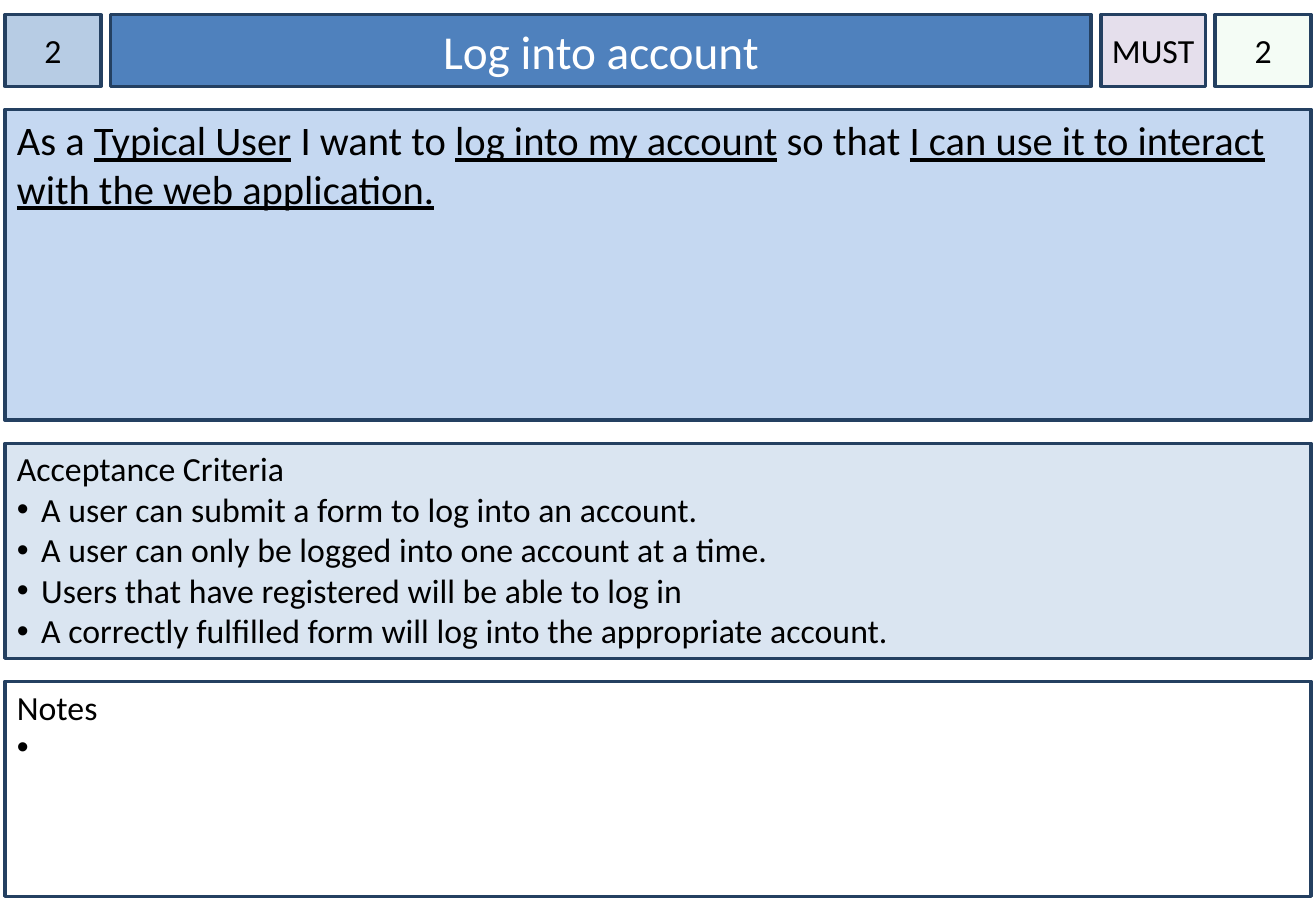
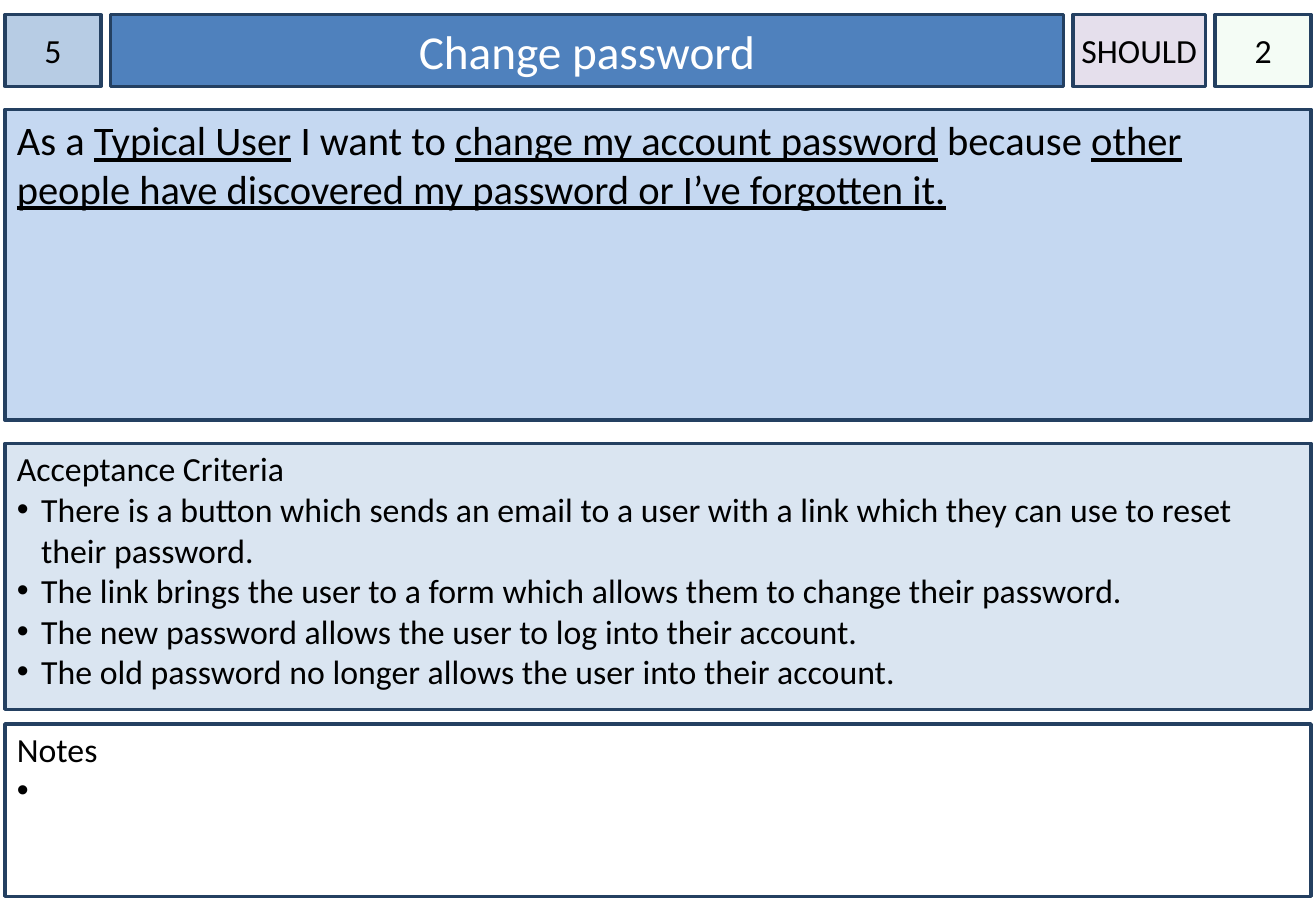
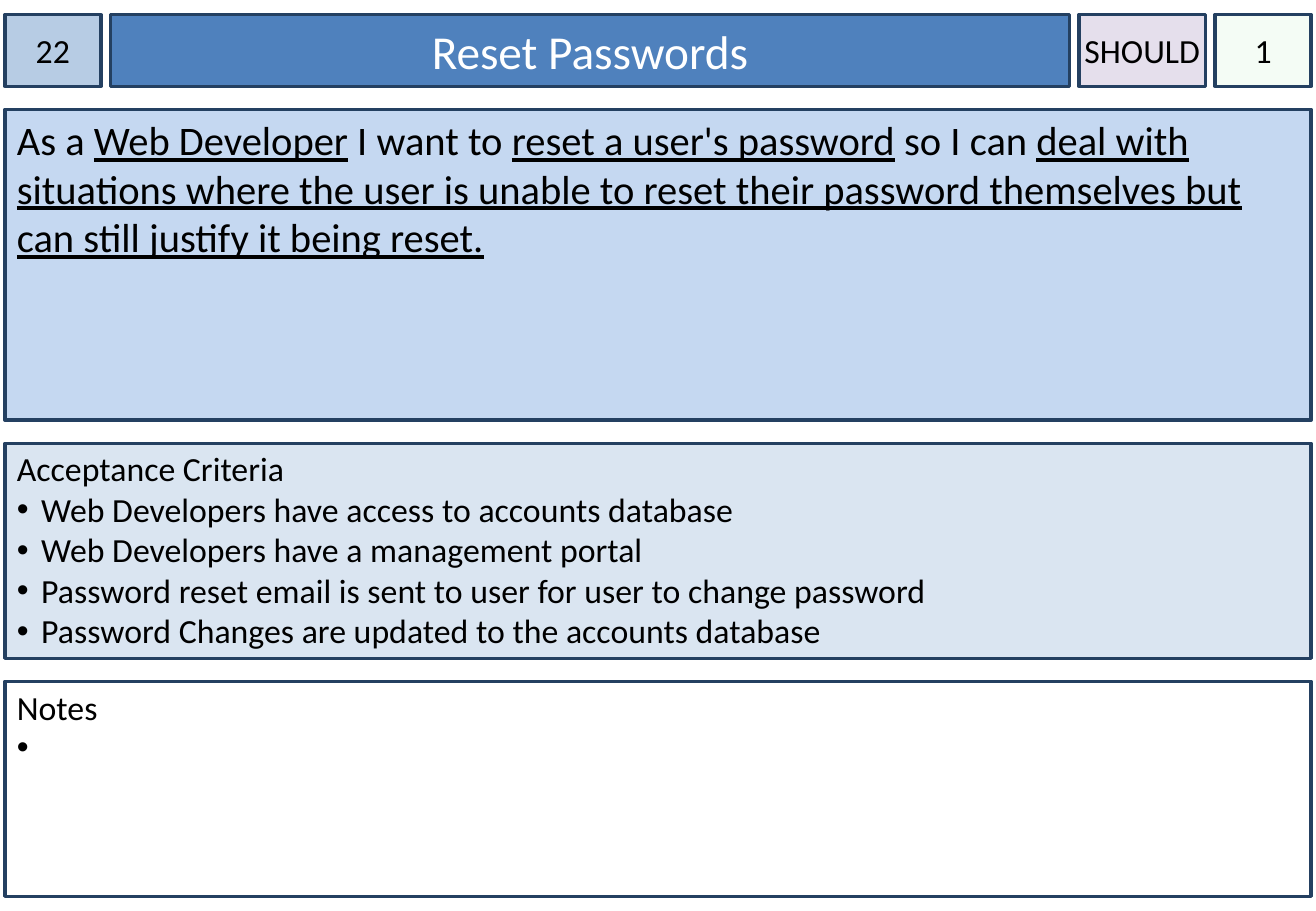
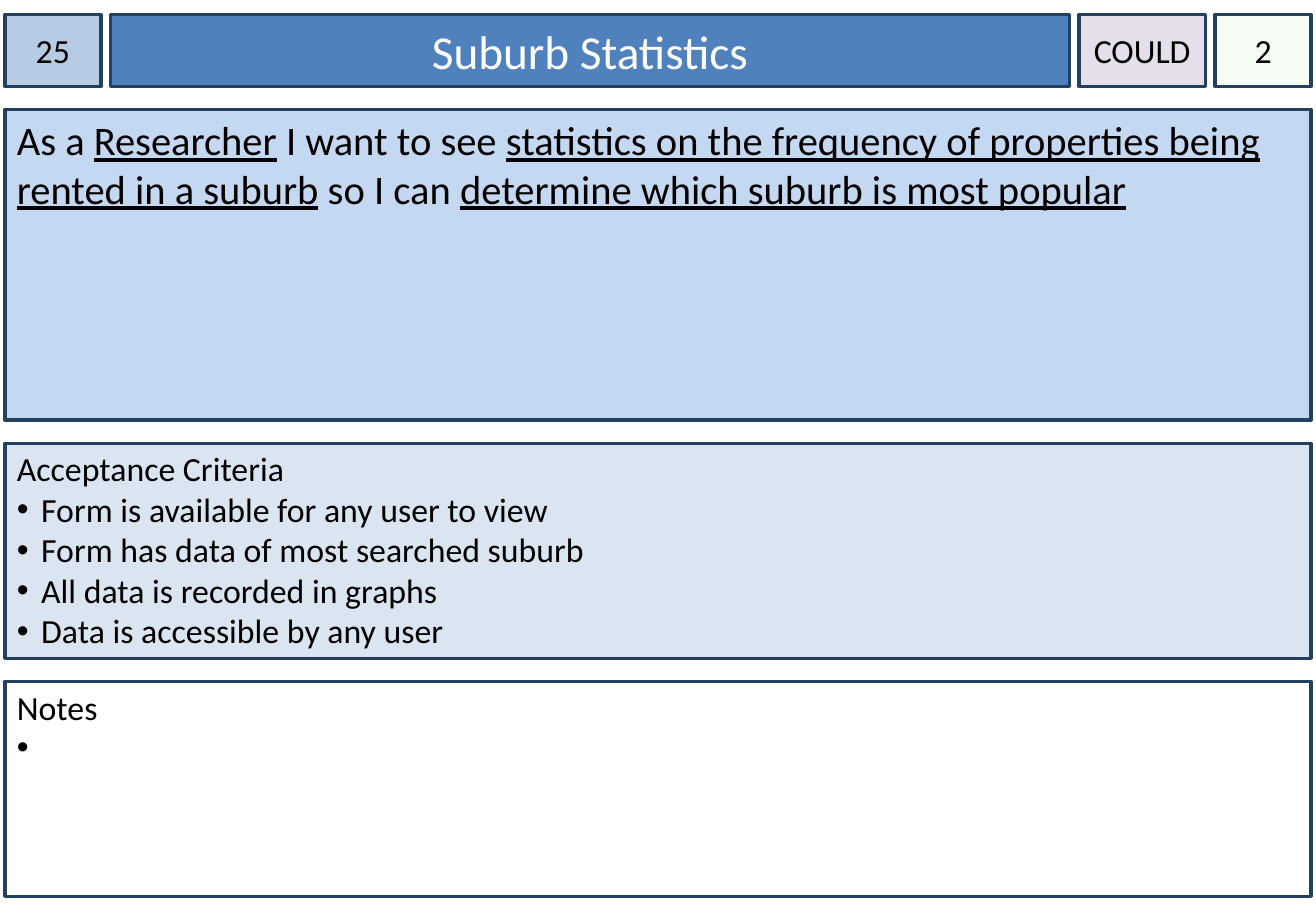
from dataclasses import dataclass

from lxml import etree
from pptx import Presentation
from pptx.dml.color import RGBColor
from pptx.enum.shapes import MSO_SHAPE
from pptx.enum.text import MSO_ANCHOR, MSO_AUTO_SIZE, PP_ALIGN
from pptx.oxml.ns import qn
from pptx.util import Inches, Pt

RECTANGLE = MSO_SHAPE.RECTANGLE
TOP, MIDDLE = MSO_ANCHOR.TOP, MSO_ANCHOR.MIDDLE
LEFT, CENTER = PP_ALIGN.LEFT, PP_ALIGN.CENTER
NO_AUTOFIT = MSO_AUTO_SIZE.NONE

BLACK = RGBColor(0x00, 0x00, 0x00)
WHITE = RGBColor(0xFF, 0xFF, 0xFF)
NAVY = RGBColor(0x24, 0x40, 0x61)
TITLE_BLUE = RGBColor(0x4F, 0x81, 0xBD)
NUMBER_BLUE = RGBColor(0xB7, 0xCC, 0xE4)
STORY_BLUE = RGBColor(0xC5, 0xD8, 0xF1)
CRITERIA_BLUE = RGBColor(0xDA, 0xE5, 0xF1)
PRIORITY_LILAC = RGBColor(0xE5, 0xDF, 0xEC)
ESTIMATE_GREEN = RGBColor(0xCC, 0xF0, 0xCD)

SLIDE_WIDTH, SLIDE_HEIGHT = 10.83, 7.5
MARGIN = 0.04
CARD_WIDTH = SLIDE_WIDTH - 2 * MARGIN
HEADER_TOP, HEADER_HEIGHT, HEADER_GAP = 0.12, 0.59, 0.08
BADGE_WIDTH = 0.79
STORY_TOP, STORY_HEIGHT = 0.9, 2.56
CRITERIA_TOP = 3.65
CARD_BOTTOM = 7.38
BULLET_INDENT = 0.2


@dataclass
class Story:
    """One card; every second piece of the sentence is underlined."""
    number: str
    title: str
    priority: str
    estimate: str
    sentence: list
    criteria: list
    priority_width: float = 1.04
    criteria_height: float = 1.77
    criteria_gap: float = 0.19


STORIES = [
    Story("2", "Log into account", "MUST", "2",
          ["As a ", "Typical User", " I want to ", "log into my account", " so that ",
           "I can use it to interact with the web application."],
          ["A user can submit a form to log into an account.",
           "A user can only be logged into one account at a time.",
           "Users that have registered will be able to log in",
           "A correctly fulfilled form will log into the appropriate account."],
          priority_width=0.86),
    Story("5", "Change password", "SHOULD", "2",
          ["As a ", "Typical User", " I want to ", "change my account password", " because ",
           "other people have discovered my password or I’ve forgotten it."],
          ["There is a button which sends an email to a user with a link which they can use "
           "to reset their password.",
           "The link brings the user to a form which allows them to change their password.",
           "The new password allows the user to log into their account.",
           "The old password no longer allows the user into their account."],
          priority_width=1.09, criteria_height=2.19, criteria_gap=0.12),
    Story("22", "Reset Passwords", "SHOULD", "1",
          ["As a ", "Web Developer", " I want to ", "reset a user's password", " so I can ",
           "deal with situations where the user is unable to reset their password themselves "
           "but can still justify it being reset."],
          ["Web Developers have access to accounts database",
           "Web Developers have a management portal",
           "Password reset email is sent to user for user to change password",
           "Password Changes are updated to the accounts database"]),
    Story("25", "Suburb Statistics", "COULD", "2",
          ["As a ", "Researcher", " I want to see ",
           "statistics on the frequency of properties being rented in a suburb", " so I can ",
           "determine which suburb is most popular"],
          ["Form is available for any user to view",
           "Form has data of most searched suburb",
           "All data is recorded in graphs",
           "Data is accessible by any user"]),
]


class CardDeck:
    """Holds the card style and the slide being drawn."""
    font_name = "Calibri"
    title_size, story_size, body_size = Pt(28), Pt(24), Pt(20)
    line_width = Pt(2)

    def __init__(self):
        self.presentation = Presentation()
        self.presentation.slide_width = Inches(SLIDE_WIDTH)
        self.presentation.slide_height = Inches(SLIDE_HEIGHT)
        self.slide = None

    def add_slide(self):
        title_only = self.presentation.slide_layouts[5]
        self.slide = self.presentation.slides.add_slide(title_only)

    def style_box(self, shape, fill, anchor, side_inset=0.1, top_inset=0.05):
        shape.fill.solid()
        shape.fill.fore_color.rgb = fill
        shape.line.color.rgb = NAVY
        shape.line.width = self.line_width
        frame = shape.text_frame
        frame.word_wrap = True
        frame.auto_size = NO_AUTOFIT
        frame.vertical_anchor = anchor
        frame.margin_left = frame.margin_right = Inches(side_inset)
        frame.margin_top, frame.margin_bottom = Inches(top_inset), Inches(0.05)

    def add_box(self, left, top, width, height, fill, anchor=TOP, **insets):
        shape = self.slide.shapes.add_shape(
            RECTANGLE, Inches(left), Inches(top), Inches(width), Inches(height))
        shape.shadow.inherit = False
        self.style_box(shape, fill, anchor, **insets)
        return shape

    def add_run(self, paragraph, text, size, color=BLACK, underline=None):
        run = paragraph.add_run()
        run.text = text
        run.font.name = self.font_name
        run.font.size = size
        run.font.color.rgb = color
        run.font.underline = underline

    def add_title(self, text, left, width):
        title = self.slide.shapes.title
        title.left, title.top = Inches(left), Inches(HEADER_TOP)
        title.width, title.height = Inches(width), Inches(HEADER_HEIGHT)
        self.style_box(title, TITLE_BLUE, MIDDLE)
        paragraph = title.text_frame.paragraphs[0]
        paragraph.alignment = CENTER
        self.add_run(paragraph, text, self.title_size, WHITE)

    def add_badge(self, text, left, width, fill):
        shape = self.add_box(left, HEADER_TOP, width, HEADER_HEIGHT, fill, MIDDLE, side_inset=0)
        paragraph = shape.text_frame.paragraphs[0]
        paragraph.alignment = CENTER
        self.add_run(paragraph, text, self.body_size)
        return shape

    def add_sentence(self, pieces):
        shape = self.add_box(MARGIN, STORY_TOP, CARD_WIDTH, STORY_HEIGHT, STORY_BLUE)
        paragraph = shape.text_frame.paragraphs[0]
        paragraph.alignment = LEFT
        for index, piece in enumerate(pieces):
            self.add_run(paragraph, piece, self.story_size, underline=index % 2 == 1)

    def add_list(self, heading, items, top, height, fill):
        shape = self.add_box(MARGIN, top, CARD_WIDTH, height, fill, top_inset=0.04)
        frame = shape.text_frame
        frame.paragraphs[0].alignment = LEFT
        self.add_run(frame.paragraphs[0], heading, self.body_size)
        for item in items:
            paragraph = frame.add_paragraph()
            paragraph.alignment = LEFT
            add_bullet(paragraph)
            self.add_run(paragraph, item, self.body_size)

    def add_card(self, story):
        self.add_slide()
        estimate_left = SLIDE_WIDTH - MARGIN - BADGE_WIDTH
        priority_left = estimate_left - HEADER_GAP - story.priority_width
        title_left = MARGIN + BADGE_WIDTH + HEADER_GAP
        self.add_title(story.title, title_left, priority_left - HEADER_GAP - title_left)
        self.add_badge(story.number, MARGIN, BADGE_WIDTH, NUMBER_BLUE)
        self.add_badge(story.priority, priority_left, story.priority_width, PRIORITY_LILAC)
        estimate = self.add_badge(story.estimate, estimate_left, BADGE_WIDTH, ESTIMATE_GREEN)
        set_fill_opacity(estimate, 20)
        self.add_sentence(story.sentence)
        self.add_list("Acceptance Criteria", story.criteria,
                      CRITERIA_TOP, story.criteria_height, CRITERIA_BLUE)
        remarks_top = CRITERIA_TOP + story.criteria_height + story.criteria_gap
        # The single space keeps the bullet of the still unwritten remark visible.
        self.add_list("Notes", [" "], remarks_top, CARD_BOTTOM - remarks_top, WHITE)


def add_bullet(paragraph):
    properties = paragraph._p.get_or_add_pPr()
    properties.set("marL", str(Inches(BULLET_INDENT)))
    properties.set("indent", str(-Inches(BULLET_INDENT)))
    bullet_color = etree.SubElement(properties, qn("a:buClr"))
    etree.SubElement(bullet_color, qn("a:srgbClr"), val=str(BLACK))
    etree.SubElement(properties, qn("a:buFont"), typeface="Arial")
    etree.SubElement(properties, qn("a:buChar"), char="•")


def set_fill_opacity(shape, percent):
    color = shape._element.spPr.find(qn("a:solidFill")).find(qn("a:srgbClr"))
    etree.SubElement(color, qn("a:alpha"), val=str(percent * 1000))


def main():
    deck = CardDeck()
    for story in STORIES:
        deck.add_card(story)
    deck.presentation.save("out.pptx")


if __name__ == "__main__":
    main()
